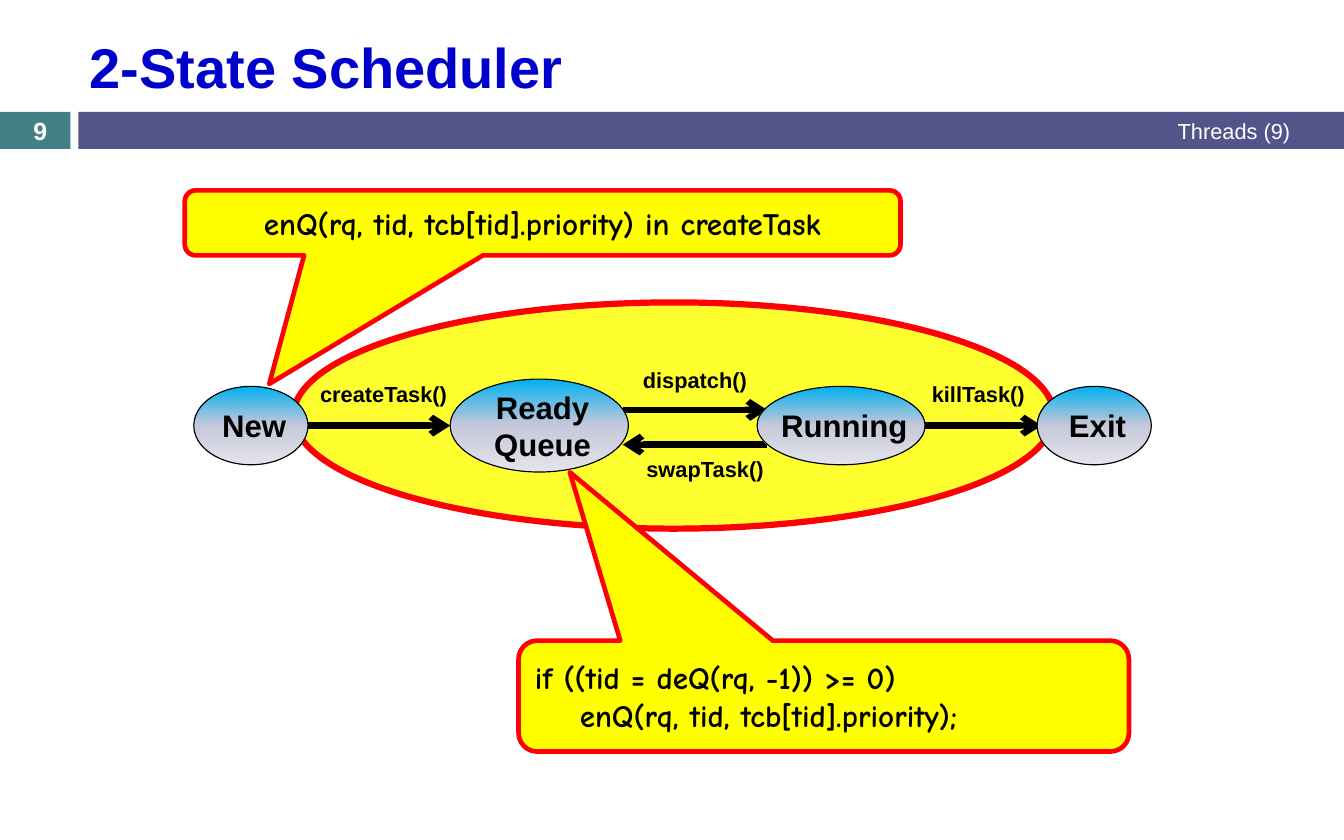
from copy import deepcopy

from pptx import Presentation
from pptx import util as u
from pptx.dml.color import RGBColor
from pptx.enum import shapes, text
from pptx.oxml import ns, xmlchemy

COLORS = {
    "title": "0000CC", "teal": "438086", "indigo": "53548A", "yellow": "FFFF00",
    "red": "FF0000", "black": "000000", "white": "FFFFFF",
    "sky": "00B0F0", "lilac": "C7C8D9", "mist": "E4E4EC",
}
SLIDE_W, SLIDE_H = 12, 7.5
BAR_TOP, BAR_H = 1, 0.33
AXIS = 3.8
TITLE = "2-State Scheduler"
BARS = [(0, 0.63, "teal"), (0.7, 11.3, "indigo")]
HEADINGS = [
    ("Threads (9)", (6.17, BAR_TOP, 5.45, BAR_H), 14, False, "RIGHT"),
    ("9", (0, 1.02, 0.72, 0.3), 16, True, "CENTER"),
]
ACTIVE_ZONE = (2.62, 2.7, 6.79, 2.02)
STATES = [
    (["New"], 1.73, 1.02, 0.7),
    (["Ready", "Queue"], 4.02, 1.59, 0.83),
    (["Running"], 6.76, 1.5, 0.7),
    (["Exit"], 9.26, 1.02, 0.7),
]
STATE_GRADIENT = [(0, "sky"), (0.5, "lilac"), (1, "mist")]
TRANSITIONS = [
    ("createTask()", 2.62, 4.02, AXIS, (2.62, 3.35)),
    ("killTask()", 8.22, 9.3, AXIS, (7.93, 3.35)),
    ("dispatch()", 5.56, 6.85, 3.66, (5.4, 3.22)),
    ("swapTask()", 6.85, 5.56, 3.97, (5.49, 4.02)),
]
LABEL_SIZE = (1.61, 0.34)
CALLOUTS = [
    ([("if ((tid = deQ(rq, -1)) >= 0)", 0), ("enQ(rq, tid, tcb[tid].priority);", 0.4)],
     (4.63, 5.72, 5.45, 0.99), (-0.416, -2.019), 0.1, "LEFT"),
    ([("enQ(rq, tid, tcb[tid].priority) in createTask", 0)],
     (1.65, 1.7, 6.39, 0.58), (-0.382, 2.48), 0, "CENTER"),
]


def inches(box):
    return [u.Inches(v) for v in box]


def rgb(name):
    return RGBColor.from_string(COLORS[name])


def write(frame, lines, size, align="CENTER", color="black", bold=True, font="Arial"):
    frame.word_wrap = True
    frame.vertical_anchor = text.MSO_ANCHOR.MIDDLE
    for i, line in enumerate(lines):
        paragraph = frame.paragraphs[0] if i == 0 else frame.add_paragraph()
        paragraph.text = line
        paragraph.alignment = getattr(text.PP_ALIGN, align)
        paragraph.font.name = font
        paragraph.font.size = u.Pt(size)
        paragraph.font.bold = bold
        paragraph.font.color.rgb = rgb(color)


def set_insets(frame, left, right):
    frame.margin_left, frame.margin_right = u.Inches(left), u.Inches(right)
    frame.margin_top = frame.margin_bottom = 0


def add_outline(slide, kind, box, fill=None, line=None, width=0):
    shape = slide.shapes.add_shape(kind, *inches(box))
    shape.shadow.inherit = False
    if fill:
        shape.fill.solid()
        shape.fill.fore_color.rgb = rgb(fill)
    if line:
        shape.line.color.rgb = rgb(line)
        shape.line.width = u.Pt(width)
    else:
        shape.line.fill.background()
    return shape


def add_label(slide, label, box, size, **style):
    write(slide.shapes.add_textbox(*inches(box)).text_frame, [label], size, **style)


def add_arrow(slide, start, end, y):
    arrow = slide.shapes.add_connector(shapes.MSO_CONNECTOR.STRAIGHT, *inches((start, y, end, y)))
    arrow.line.color.rgb = rgb("black")
    arrow.line.width = u.Pt(4)
    head = xmlchemy.OxmlElement("a:tailEnd")
    head.set("type", "arrow")
    arrow.line._get_or_add_ln().append(head)
    arrow._element.spPr.append(xmlchemy.OxmlElement("a:effectLst"))


def add_state(slide, lines, left, width, height):
    state = add_outline(slide, shapes.MSO_SHAPE.OVAL,
                        (left, AXIS - height / 2, width, height), line="black", width=0.75)
    state.fill.gradient()
    state.fill.gradient_angle = 270
    stop_list = state._element.spPr.find(".//" + ns.qn("a:gsLst"))
    stop_list.append(deepcopy(stop_list[-1]))
    for stop, (position, color) in zip(state.fill.gradient_stops, STATE_GRADIENT):
        stop.position = position
        stop.color.rgb = rgb(color)
    write(state.text_frame, lines, 20)
    set_insets(state.text_frame, 0.06, 0)
    state.text_frame.word_wrap = False


def add_callout(slide, lines, box, pointer, inset, align):
    callout = add_outline(slide, shapes.MSO_SHAPE.ROUNDED_RECTANGULAR_CALLOUT, box,
                          "yellow", "red", 3)
    for i, value in enumerate((*pointer, 0.167)):
        callout.adjustments[i] = value
    frame = callout.text_frame
    write(frame, [line for line, _ in lines], 20, align, font="Comic Neue")
    set_insets(frame, inset, inset)
    for paragraph, (_, indent) in zip(frame.paragraphs, lines):
        paragraph._p.get_or_add_pPr().set("marL", str(u.Inches(indent)))


def main():
    deck = Presentation()
    deck.slide_width, deck.slide_height = inches((SLIDE_W, SLIDE_H))
    slide = deck.slides.add_slide(deck.slide_layouts[5])

    title = slide.shapes.title
    title.left, title.top, title.width, title.height = inches((0.7, 0.19, 10.91, 0.8))
    write(title.text_frame, [TITLE], 36, "LEFT", "title")

    for left, width, color in BARS:
        add_outline(slide, shapes.MSO_SHAPE.RECTANGLE, (left, BAR_TOP, width, BAR_H), color)

    zone = add_outline(slide, shapes.MSO_SHAPE.OVAL, ACTIVE_ZONE, "yellow", "red", 4)
    alpha = xmlchemy.OxmlElement("a:alpha")
    alpha.set("val", "81000")
    zone._element.spPr.find(ns.qn("a:solidFill"))[0].append(alpha)

    for label, start, end, y, corner in TRANSITIONS:
        add_arrow(slide, start, end, y)
        add_label(slide, label, corner + LABEL_SIZE, 14)
    for state in STATES:
        add_state(slide, *state)
    for callout in CALLOUTS:
        add_callout(slide, *callout)
    for label, box, size, bold, align in HEADINGS:
        add_label(slide, label, box, size, align=align, color="white", bold=bold)

    deck.save("out.pptx")


if __name__ == "__main__":
    main()
